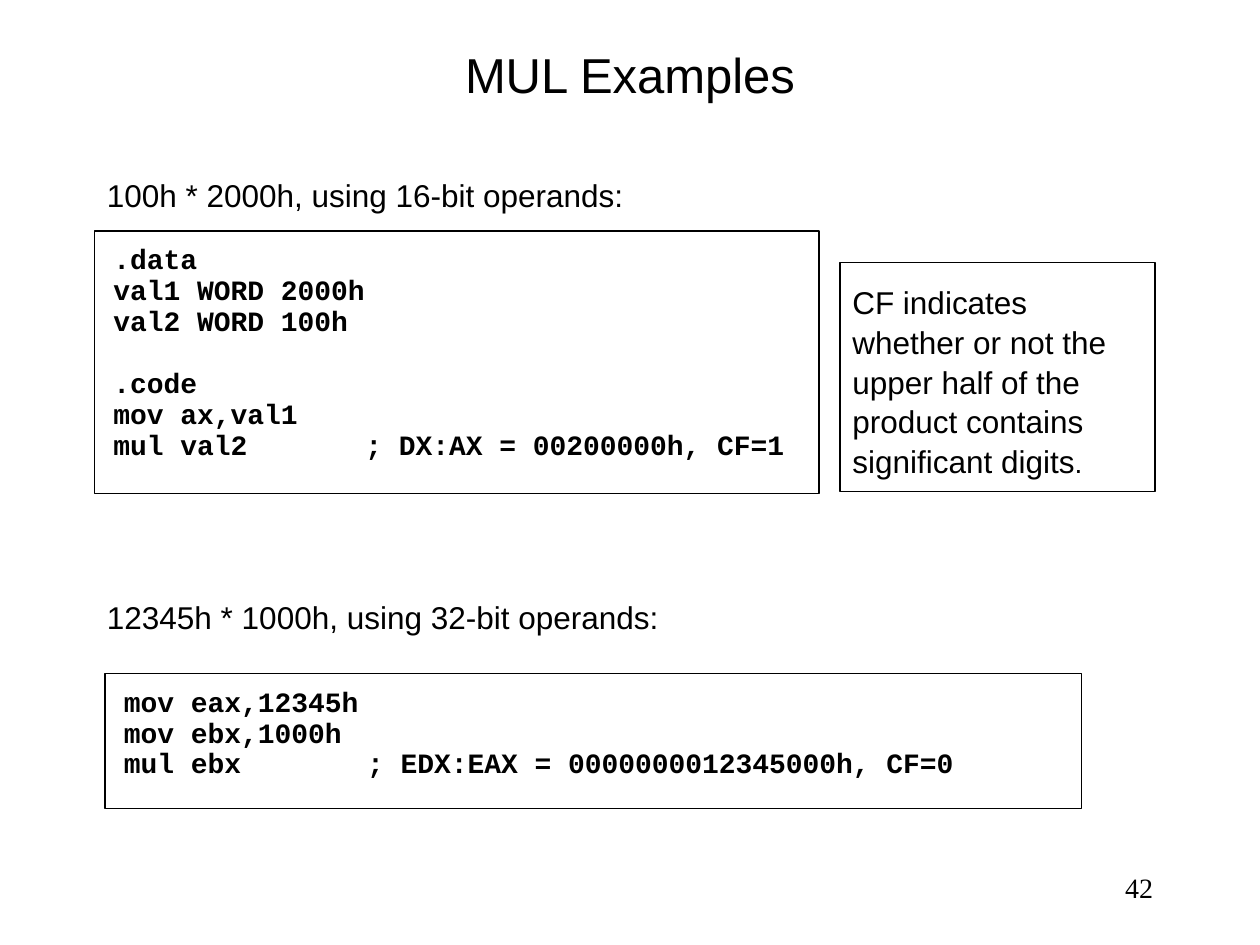
from dataclasses import dataclass
from pptx import Presentation
from pptx.dml.color import RGBColor
from pptx.enum.shapes import MSO_SHAPE as Shape
from pptx.enum.text import MSO_ANCHOR as Anchor, PP_ALIGN as Align
from pptx.oxml.ns import qn
from pptx.util import Pt
from lxml.etree import SubElement


@dataclass(frozen=True)
class Theme:
    ink: RGBColor = RGBColor(0, 0, 0)
    sans: str = "Arial"
    mono: str = "Courier New"
    serif: str = "Times New Roman"
    title: int = 28
    body: int = 18
    small: int = 16
    line: float = 0.75


T = Theme()

# Content: boxes are left, top, width, height
TITLE = ("MUL Examples", (54, 18, 612, 48))
NUMBER = ("42", (588, 492, 78, 30))
CAPTIONS = [
    ("100h * 2000h, using 16-bit operands:", (54, 96, 612, 42), 3.6),
    ("12345h * 1000h, using 32-bit operands:", (54, 330, 564, 43), 10.8),
]
NOTE = ([("CF indicates whether or not the upper half of the product "
          "contains significant digits", T.body), (".", T.small)],
        (480, 150, 180, 131))
# Each listing: blocks of lines, box, tab stops
LISTINGS = [
    ([[".data", "val1 WORD 2000h", "val2 WORD 100h"],
      [".code", "mov ax,val1", "mul val2\t; DX:AX = 00200000h, CF=1"]],
     (54, 132, 414, 150), (36, 144)),
    ([["mov eax,12345h", "mov ebx,1000h",
       "mul ebx\t; EDX:EAX = 0000000012345000h, CF=0"]],
     (60, 385, 558, 77), (36, 139)),
]
BLOCK_GAP = 26


def add_frame(s, box, inset_x=7.2, inset_y=3.6, anchor=Anchor.TOP, outlined=False):
    place = [Pt(v) for v in box]
    if outlined:
        sp = s.shapes.add_shape(Shape.RECTANGLE, *place)
        sp.shadow.inherit = False
        sp.fill.background()
        sp.line.color.rgb = T.ink
        sp.line.width = Pt(T.line)
    else:
        sp = s.shapes.add_textbox(*place)
    tf = sp.text_frame
    tf.word_wrap = True
    tf.vertical_anchor = anchor
    tf.margin_left = tf.margin_right = Pt(inset_x)
    tf.margin_top = tf.margin_bottom = Pt(inset_y)
    return tf


def add_run(p, text, size, font=T.sans, bold=False):
    r = p.add_run()
    r.text = text
    r.font.size, r.font.name, r.font.bold = Pt(size), font, bold
    r.font.color.rgb = T.ink


def space_code(p, tabs, new_block):
    p.alignment = Align.LEFT
    p.line_spacing = 0.5
    pPr = p._p.get_or_add_pPr()
    if new_block:
        p.space_before = Pt(BLOCK_GAP)
    else:
        before = SubElement(pPr, qn("a:spcBef"))
        SubElement(before, qn("a:spcPct"), val="50000")
    stops = SubElement(pPr, qn("a:tabLst"))
    for tab in tabs:
        SubElement(stops, qn("a:tab"), pos=str(Pt(tab)), algn="l")


prs = Presentation()
prs.slide_width, prs.slide_height = Pt(720), Pt(540)
s = prs.slides.add_slide(prs.slide_layouts[6])

# Title and page number
for (text, box), size, font, align in [
        (TITLE, T.title, T.sans, Align.CENTER),
        (NUMBER, T.small, T.serif, Align.RIGHT)]:
    p = add_frame(s, box, anchor=Anchor.MIDDLE).paragraphs[0]
    p.alignment = align
    add_run(p, text, size, font)

# Captions and side note
prose = [([(text, T.body)], box, inset, False) for text, box, inset in CAPTIONS]
prose.append((*NOTE, 10.8, True))
for runs, box, inset, outlined in prose:
    p = add_frame(s, box, inset_y=inset, outlined=outlined).paragraphs[0]
    p.alignment = Align.LEFT
    p.line_spacing = 1.05
    for text, size in runs:
        add_run(p, text, size)

# Code listings
for blocks, box, tabs in LISTINGS:
    tf = add_frame(s, box, 10.8, 14.4, outlined=True)
    lines = [(text, b > 0 and i == 0)
             for b, block in enumerate(blocks) for i, text in enumerate(block)]
    for n, (text, new_block) in enumerate(lines):
        p = tf.add_paragraph() if n else tf.paragraphs[0]
        space_code(p, tabs, new_block)
        add_run(p, text, T.small, T.mono, bold=True)

prs.save("out.pptx")
